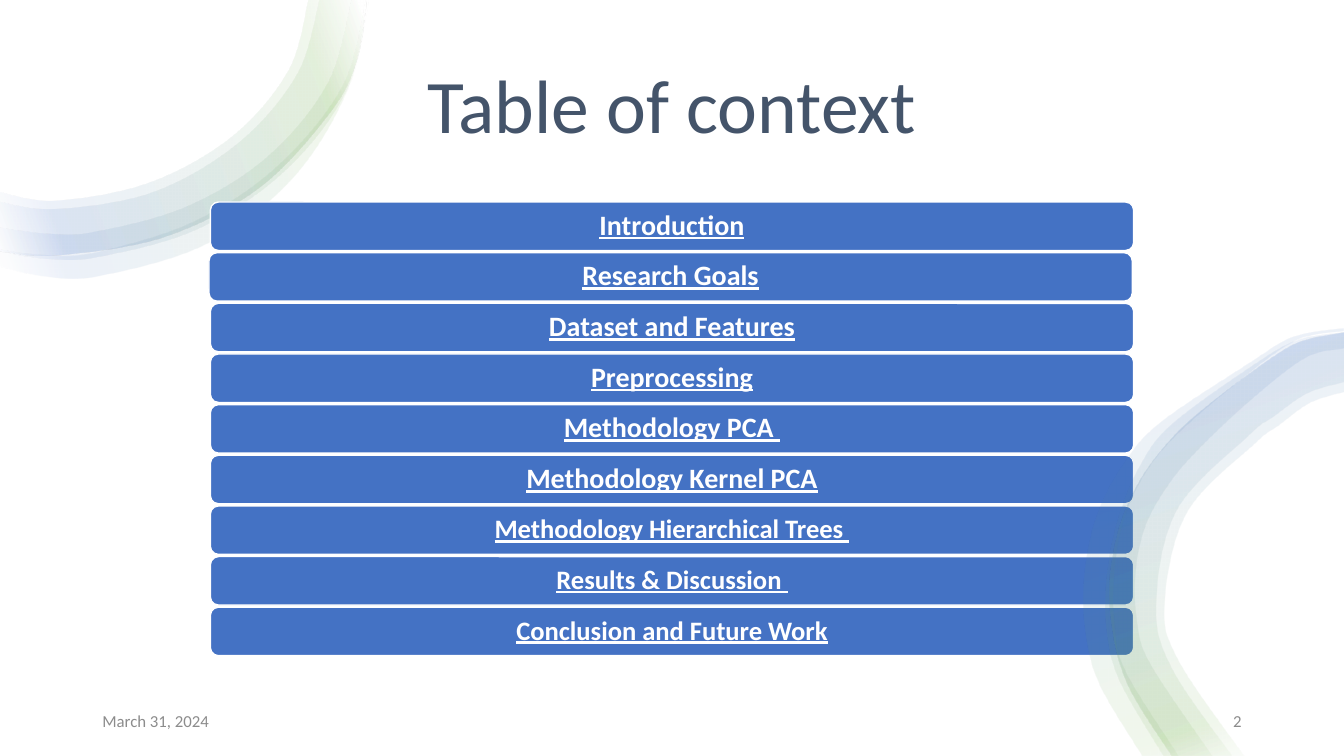
from lxml.etree import SubElement
from pptx import Presentation
from pptx.dml.color import RGBColor
from pptx.enum.shapes import MSO_SHAPE
from pptx.enum.text import MSO_ANCHOR, PP_ALIGN
from pptx.oxml.ns import qn
from pptx.util import Pt

SLIDE_WIDTH, SLIDE_HEIGHT = 960, 540
WHITE, BLUE, GREEN, SLATE, GREY = "FFFFFF", "4472C4", "70AD47", "44546A", "8C8C8C"
FADE = [(2, WHITE), (16, GREEN), (85, BLUE), (100, WHITE)]
OPACITY = 10
UNITS_PER_POINT = 10

TOPICS = [
    ("Introduction", 20),
    ("Research Goals", 20),
    ("Dataset and Features", 20),
    ("Preprocessing", 20),
    ("Methodology PCA ", 20),
    ("Methodology Kernel PCA", 20),
    ("Methodology Hierarchical Trees ", 19),
    ("Results & Discussion ", 19),
    ("Conclusion and Future Work", 19),
]
BAR_LEFT, BAR_TOP, BAR_WIDTH, BAR_HEIGHT, BAR_PITCH = 150.3, 144.3, 659.5, 34.6, 36.18
SHIFTED_TOPIC, TOPIC_SHIFT = "Research Goals", -1

# Each band is an outer edge and an inner edge, as points along the curve.
LEFT_OUTER = [(262, 0), (255, 42), (236, 80), (185, 134), (117, 169), (40, 182), (0, 179)]
LEFT_BANDS = [
    (LEFT_OUTER,
     [(220, 0), (206, 50), (166, 97), (107, 130), (40, 143), (0, 137)]),
    (LEFT_OUTER,
     [(228, 0), (212, 53), (170, 102), (109, 137), (40, 149), (0, 144)]),
    ([(262, 0), (247, 65), (203, 122), (141, 163), (69, 183), (32, 184), (0, 179)],
     [(251, 0), (234, 59), (191.5, 111), (133, 147), (67, 165), (32, 166), (0, 162)]),
    ([(263.5, 0), (249, 63), (209.5, 127), (148, 174), (71, 197), (31, 197), (0, 190)],
     [(261.5, 0), (245, 61), (199, 118), (139, 158), (69, 180), (32, 182), (0, 178)]),
]
RIGHT_OUTER = [(960, 237.6), (932, 243), (912, 253), (873, 281.5), (840, 310), (814, 344),
               (798, 383.5), (793, 431), (804, 485), (837, 540)]
RIGHT_BANDS = [
    ([(960, 235), (924, 241), (892, 260), (829, 302), (803, 331), (784, 367), (775, 407),
      (775, 448), (785, 488), (816, 540)],
     [(960, 237), (925, 244), (881, 276), (839, 312.5), (816.5, 341), (802, 374),
      (796, 409), (796, 445), (804, 479.5), (842, 540)]),
    ([(960, 237.6), (927, 243), (895, 261), (837, 303), (814, 333), (799, 369),
      (791, 407), (790, 446), (799, 485), (831, 540)],
     [(960, 249), (932, 256), (892, 287), (855, 322), (834, 347), (818, 376), (811, 409),
      (812, 443), (821.5, 474), (866, 540)]),
    (RIGHT_OUTER,
     [(960, 273), (933.5, 281), (909, 298), (892, 311), (841, 364), (826, 431), (837, 477),
      (880, 540)]),
    (RIGHT_OUTER,
     [(960, 280), (935, 288), (913, 304), (896, 317), (848, 366), (832, 431), (842, 472),
      (888.5, 540)]),
]


def color(hex_string):
    return RGBColor.from_string(hex_string)


def set_values(target, values):
    for name, value in values.items():
        setattr(target, name, value)


def bezier_handles(edge):
    """Return the two control points of each smooth segment along the edge."""
    padded = [edge[0], *edge, edge[-1]]
    return [
        [tuple(q + (r - p) / 6 for p, q, r in zip(a, b, c)),
         tuple(r - (s - q) / 6 for q, r, s in zip(b, c, d))]
        for a, b, c, d in zip(padded, padded[1:], padded[2:], padded[3:])
    ]


def curve_outline(band, outline, handles):
    """Turn the band's straight segments into Bézier curves; None stays straight."""
    left, top = (min(axis) for axis in zip(*outline))
    lines = list(band._element.iter(qn("a:lnTo")))
    for line, pair in zip(lines, handles):
        if pair is None:
            continue
        line.tag = qn("a:cubicBezTo")
        for index, (x, y) in enumerate(pair):
            handle = SubElement(line, qn("a:pt"), x=str(round((x - left) * UNITS_PER_POINT)),
                                y=str(round((y - top) * UNITS_PER_POINT)))
            line.insert(index, handle)


def apply_fade(fill, angle):
    fill.gradient()
    fill.gradient_angle = angle
    stops = fill._xPr.find(qn("a:gradFill")).find(qn("a:gsLst"))
    for stop in list(stops):
        stops.remove(stop)
    for position, shade in FADE:
        stop = SubElement(stops, qn("a:gs"), pos=str(position * 1000))
        tint = SubElement(stop, qn("a:srgbClr"), val=shade)
        SubElement(tint, qn("a:alpha"), val=str(OPACITY * 1000))


def add_ribbon(slide, bands, angle):
    for outer, inner in bands:
        way_back = inner[::-1]
        outline = outer + way_back
        scaled = [(x * UNITS_PER_POINT, y * UNITS_PER_POINT) for x, y in outline]
        builder = slide.shapes.build_freeform(*scaled[0], scale=Pt(1) / UNITS_PER_POINT)
        builder.add_line_segments(scaled[1:], close=True)
        band = builder.convert_to_shape()
        curve_outline(band, outline, [*bezier_handles(outer), None, *bezier_handles(way_back)])
        band.shadow.inherit = False
        band.line.fill.background()
        apply_fade(band.fill, angle)


def write(frame, text, size, shade, align, anchor=MSO_ANCHOR.MIDDLE, line_spacing=1.0, **font):
    set_values(frame, {"word_wrap": True, "vertical_anchor": anchor})
    paragraph = frame.paragraphs[0]
    set_values(paragraph, {"alignment": align, "line_spacing": line_spacing})
    run = paragraph.add_run()
    run.text = text
    set_values(run.font, {"name": "Calibri", "size": Pt(size), **font})
    run.font.color.rgb = color(shade)


def add_title(slide, text):
    title = slide.shapes.title
    set_values(title, {"left": Pt(92.9), "top": Pt(6.5), "width": Pt(774), "height": Pt(104.4)})
    write(title.text_frame, text, 54, SLATE, PP_ALIGN.CENTER, MSO_ANCHOR.BOTTOM, 0.9)


def add_panel(slide, kind, left, top, width, height, fill):
    panel = slide.shapes.add_shape(kind, Pt(left), Pt(top), Pt(width), Pt(height))
    panel.shadow.inherit = False
    panel.fill.solid()
    panel.fill.fore_color.rgb = color(fill)
    panel.line.fill.background()
    return panel


def add_backdrop(slide):
    backdrop = add_panel(slide, MSO_SHAPE.RECTANGLE, 0, 0, SLIDE_WIDTH, SLIDE_HEIGHT, WHITE)
    slide.shapes.title._element.addprevious(backdrop._element)


def add_topic(slide, row, text, size):
    left = BAR_LEFT + (TOPIC_SHIFT if text == SHIFTED_TOPIC else 0)
    bar = add_panel(slide, MSO_SHAPE.ROUNDED_RECTANGLE, left, BAR_TOP + row * BAR_PITCH,
                    BAR_WIDTH, BAR_HEIGHT, BLUE)
    bar.line.color.rgb = color(WHITE)
    bar.line.width = Pt(1)
    set_values(bar.text_frame, {"margin_top": Pt(3), "margin_bottom": Pt(3)})
    write(bar.text_frame, text, size, WHITE, PP_ALIGN.CENTER, line_spacing=0.9,
          bold=True, underline=True)


def add_footer(slide, left, text, align):
    footer = slide.shapes.add_textbox(Pt(left), Pt(500.5), Pt(216), Pt(28.8))
    write(footer.text_frame, text, 12, GREY, align)


def main():
    deck = Presentation()
    set_values(deck, {"slide_width": Pt(SLIDE_WIDTH), "slide_height": Pt(SLIDE_HEIGHT)})
    slide = deck.slides.add_slide(deck.slide_layouts[5])
    add_backdrop(slide)
    add_title(slide, "Table of context")
    add_ribbon(slide, LEFT_BANDS, 200)
    for row, (text, size) in enumerate(TOPICS):
        add_topic(slide, row, text, size)
    add_ribbon(slide, RIGHT_BANDS, 110)
    add_footer(slide, 66, "March 31, 2024", PP_ALIGN.LEFT)
    add_footer(slide, 678, "2", PP_ALIGN.RIGHT)
    deck.save("out.pptx")


if __name__ == "__main__":
    main()
